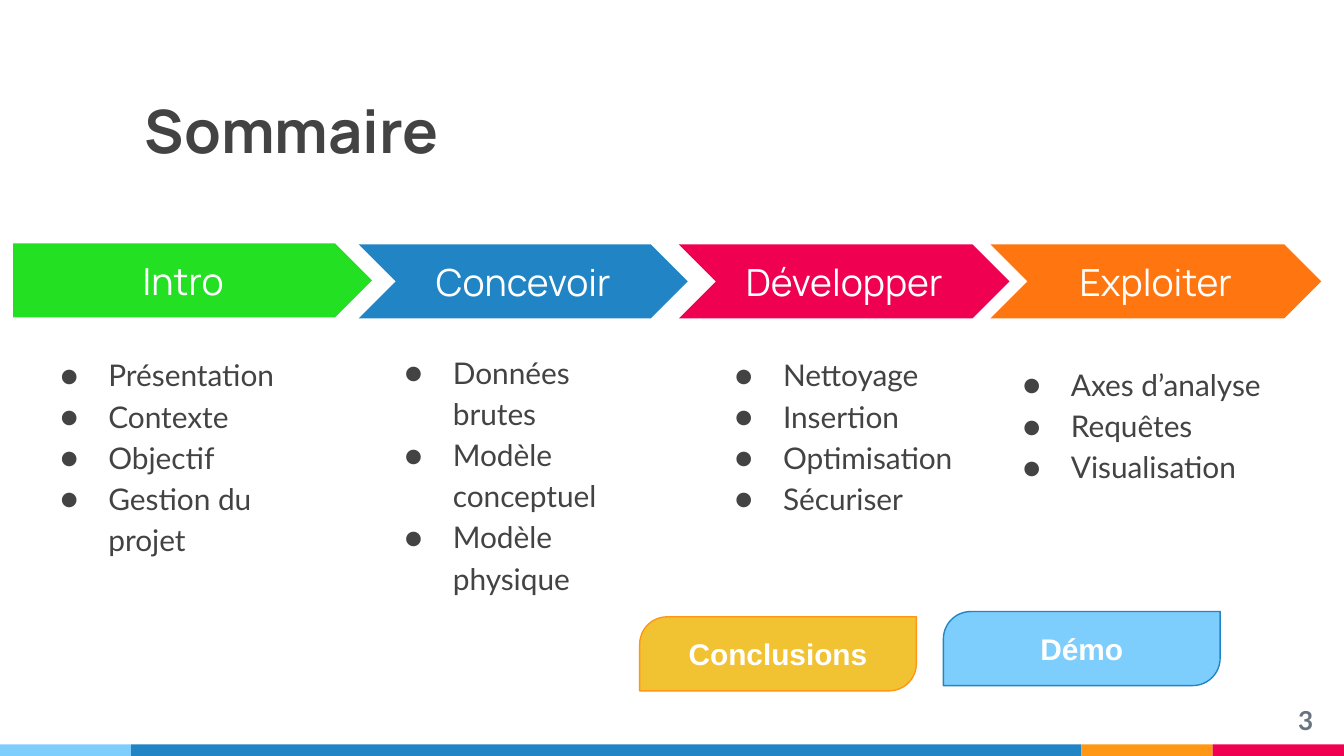
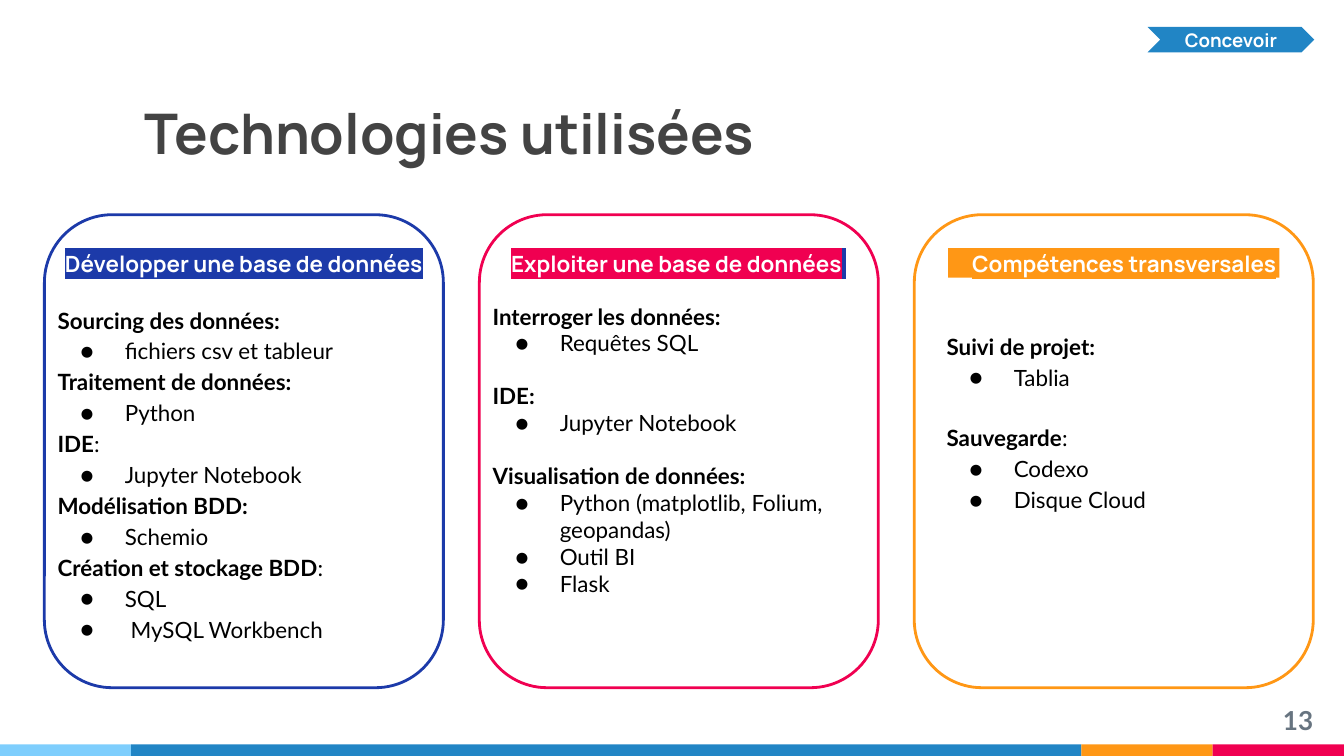
from dataclasses import dataclass

from lxml import etree
from pptx import Presentation
from pptx import util as u
from pptx.dml import color
from pptx.enum import shapes, text
from pptx.oxml import ns

GREEN, BLUE, RED, FLAME = "23E023", "2185C5", "F00051", "FF7510"
SKY, AMBER, GOLD, NAVY = "7ECEFD", "FF9715", "F1C232", "1C3AA9"
GREY, SLATE, WHITE, BLACK = "434343", "677480", "FFFFFF", "000000"
HEAD, BODY, PLAIN = "Manrope", "Lato", "Arial"
KIND = shapes.MSO_SHAPE
ALIGN = text.PP_ALIGN
ANCHOR = text.MSO_ANCHOR


@dataclass(frozen=True)
class Box:
    left: float
    top: float
    width: float
    height: float

    def spots(self) -> list:
        return [u.Cm(n) for n in (self.left, self.top, self.width, self.height)]


@dataclass(frozen=True)
class Style:
    font: str
    size: int
    tint: str
    bold: bool = False


@dataclass(frozen=True)
class Step:
    name: str
    kind: int
    fill: str
    head: Box
    list: Box
    items: tuple


@dataclass(frozen=True)
class Tag:
    name: str
    fill: str
    edge: str
    box: Box


@dataclass(frozen=True)
class Topic:
    title: str
    items: tuple
    tail: str = ""


@dataclass(frozen=True)
class Card:
    name: str
    tint: str
    topics: tuple
    lead: int
    gap: int
    pitch: float = 1.15
    inset: float = 0
    shift: float = 0
    tail: str = ""


STEPS = (
    Step("Intro", KIND.PENTAGON, GREEN, Box(0.25, 4.6, 6.78, 1.4),
         Box(0.53, 6.4, 5.82, 5.46),
         ("Présentation", "Contexte", "Objectif", "Gestion du projet")),
    Step("Concevoir", KIND.CHEVRON, BLUE, Box(6.78, 4.62, 6.22, 1.4),
         Box(7.04, 6.35, 5.54, 5.46),
         ("Données brutes", "Modèle conceptuel", "Modèle physique")),
    Step("Développer", KIND.CHEVRON, RED, Box(12.83, 4.62, 6.25, 1.4),
         Box(13.28, 6.4, 5.18, 5.46),
         ("Nettoyage", "Insertion", "Optimisation", "Sécuriser")),
    Step("Exploiter", KIND.CHEVRON, FLAME, Box(18.72, 4.62, 6.25, 1.4),
         Box(18.72, 6.58, 5.54, 4.45),
         ("Axes d’analyse", "Requêtes", "Visualisation")),
)

TAGS = (
    Tag("Conclusions", GOLD, AMBER, Box(12.09, 11.66, 5.23, 1.4)),
    Tag("Démo", SKY, BLUE, Box(17.83, 11.56, 5.23, 1.4)),
)

CARDS = (
    Card("Développer une base de données", NAVY, (
        Topic("Sourcing des données:", ("fichiers csv et tableur",)),
        Topic("Traitement de données:", ("Python",)),
        Topic("IDE", ("Jupyter Notebook",), ":"),
        Topic("Modélisation BDD:", ("Schemio",)),
        Topic("Création et stockage BDD", ("SQL", " MySQL Workbench"), ":"),
    ), lead=14, gap=0),
    Card("Exploiter une base de données", RED, (
        Topic("Interroger les données:", ("Requêtes SQL",)),
        Topic("IDE:", ("Jupyter Notebook",)),
        Topic("Visualisation de données:",
              ("Python (matplotlib, Folium, geopandas)", "Outil BI", "Flask")),
    ), lead=14, gap=14, pitch=1, tail=NAVY),
    Card("Compétences transversales", AMBER, (
        Topic("Suivi de projet:", ("Tablia",)),
        Topic("Sauvegarde", ("Codexo", "Disque Cloud"), ":"),
    ), lead=28, gap=16, inset=0.36, shift=0.4),
)


def rgb(tint: str) -> color.RGBColor:
    return color.RGBColor.from_string(tint)


def add_run(par, words: str, style: Style, mark: str = "") -> None:
    run = par.add_run()
    run.text = words
    font = run.font
    font.name, font.size, font.bold = style.font, u.Pt(style.size), style.bold
    font.color.rgb = rgb(style.tint)
    if mark:
        light = etree.Element(ns.qn("a:highlight"))
        etree.SubElement(light, ns.qn("a:srgbClr"), val=mark)
        run._r.rPr.find(ns.qn("a:solidFill")).addnext(light)


def add_dot(par, tint: str, left: float, hang: float) -> None:
    props = par._p.get_or_add_pPr()
    props.set("marL", str(u.Cm(left)))
    props.set("indent", str(u.Cm(-hang)))
    shade = etree.SubElement(props, ns.qn("a:buClr"))
    etree.SubElement(shade, ns.qn("a:srgbClr"), val=tint)
    etree.SubElement(props, ns.qn("a:buFont"), typeface=BODY)
    etree.SubElement(props, ns.qn("a:buChar"), char="●")


def set_frame(shape, anchor):
    frame = shape.text_frame
    frame.word_wrap = True
    frame.vertical_anchor = anchor
    frame.margin_left = frame.margin_right = u.Cm(0.25)
    frame.margin_top = frame.margin_bottom = u.Cm(0.25)
    return frame


def add_text(slide, box: Box, anchor=ANCHOR.TOP):
    return set_frame(slide.shapes.add_textbox(*box.spots()), anchor)


def add_line(slide, box: Box, words: str, style: Style,
             align=ALIGN.LEFT, anchor=ANCHOR.TOP) -> None:
    par = add_text(slide, box, anchor).paragraphs[0]
    par.alignment = align
    add_run(par, words, style)


def add_form(slide, kind, box: Box, fill: str = "", edge: str = "",
             weight: float = 0.75, bends: tuple = ()):
    shape = slide.shapes.add_shape(kind, *box.spots())
    shape.shadow.inherit = False
    for spot, bend in enumerate(bends):
        shape.adjustments[spot] = bend
    if fill:
        shape.fill.solid()
        shape.fill.fore_color.rgb = rgb(fill)
    else:
        shape.fill.background()
    if edge:
        shape.line.color.rgb = rgb(edge)
        shape.line.width = u.Pt(weight)
    else:
        shape.line.fill.background()
    return shape


def add_label(shape, words: str, style: Style) -> None:
    par = set_frame(shape, ANCHOR.MIDDLE).paragraphs[0]
    par.alignment = ALIGN.CENTER
    add_run(par, words, style)


def add_page(deck, title: str, size: int, number: str):
    slide = deck.slides.add_slide(deck.slide_layouts[6])
    left = 0
    for width, tint in ((2.48, SKY), (17.96, BLUE), (2.48, AMBER), (2.48, RED)):
        add_form(slide, KIND.RECTANGLE, Box(left, 14.07, width, 0.22), tint)
        left += width
    add_line(slide, Box(2.49, 0.99, 17.96, 2.39), title,
             Style(HEAD, size, GREY, True), anchor=ANCHOR.BOTTOM)
    add_line(slide, Box(23.55, 13.06, 1.52, 0.86), number,
             Style(BODY, 14, SLATE, True), ALIGN.RIGHT)
    return slide


def add_step(slide, step: Step) -> None:
    shape = add_form(slide, step.kind, step.head, step.fill, bends=(0.5,))
    add_label(shape, step.name, Style(HEAD, 20, WHITE))
    frame = add_text(slide, step.list)
    for spot, item in enumerate(step.items):
        par = frame.add_paragraph() if spot else frame.paragraphs[0]
        par.line_spacing = 1.15
        add_dot(par, GREY, 1.27, 0.91)
        add_run(par, item, Style(BODY, 16, GREY))


def add_tag(slide, tag: Tag) -> None:
    shape = add_form(slide, KIND.ROUND_2_DIAG_RECTANGLE, tag.box, tag.fill,
                     tag.edge, bends=(0.37, 0))
    add_label(shape, tag.name, Style(PLAIN, 16, WHITE, True))


def add_card(slide, card: Card, left: float) -> None:
    width, top = 7.54, 4.06
    add_form(slide, KIND.ROUNDED_RECTANGLE, Box(left, top, width, 8.94),
             edge=card.tint, weight=1.5, bends=(0.17,))
    if card.shift:
        add_form(slide, KIND.RECTANGLE,
                 Box(left + 0.64, top + 0.63, 6.26, 0.56), card.tint)
    frame = add_text(slide, Box(left + card.inset, top + 0.41,
                                width - 2 * card.inset, 8.53))
    par = frame.paragraphs[0]
    par.alignment = ALIGN.CENTER
    par._p.get_or_add_pPr().set("marL", str(u.Cm(card.shift)))
    white = Style(HEAD, 12, WHITE, True)
    add_run(par, card.name, white, card.tint)
    if card.tail:
        add_run(par, " ", white, card.tail)
    bold, thin = Style(BODY, 12, BLACK, True), Style(BODY, 12, BLACK)
    for spot, topic in enumerate(card.topics):
        par = frame.add_paragraph()
        par.line_spacing = card.pitch
        par.space_before = u.Pt(card.gap if spot else card.lead)
        add_run(par, topic.title, bold)
        if topic.tail:
            add_run(par, topic.tail, thin)
        for item in topic.items:
            par = frame.add_paragraph()
            par.line_spacing = card.pitch
            add_dot(par, BLACK, 1.27, 0.84)
            add_run(par, item, thin)


def main() -> None:
    deck = Presentation()
    deck.slide_width, deck.slide_height = u.Cm(25.4), u.Cm(14.29)

    slide = add_page(deck, "Sommaire", 32, "3")
    for step in STEPS:
        add_step(slide, step)
    for tag in TAGS:
        add_tag(slide, tag)

    slide = add_page(deck, "Technologies utilisées", 30, "13")
    for spot, card in enumerate(CARDS):
        add_card(slide, card, 0.84 + 8.22 * spot)
    badge = add_form(slide, KIND.CHEVRON, Box(21.69, 0.51, 3.15, 0.48), BLUE,
                     bends=(0.5,))
    add_label(badge, "Concevoir", Style(HEAD, 10, WHITE, True))

    deck.save("out.pptx")


if __name__ == "__main__":
    main()
